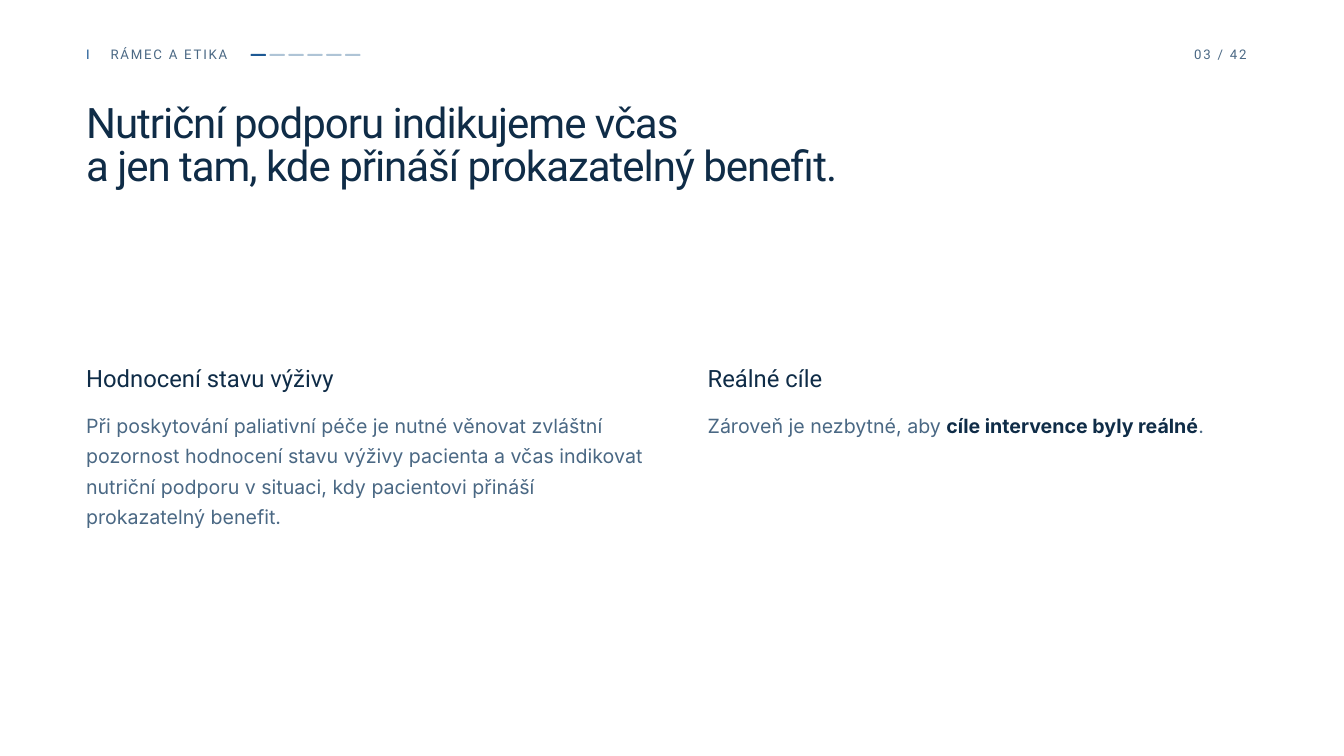
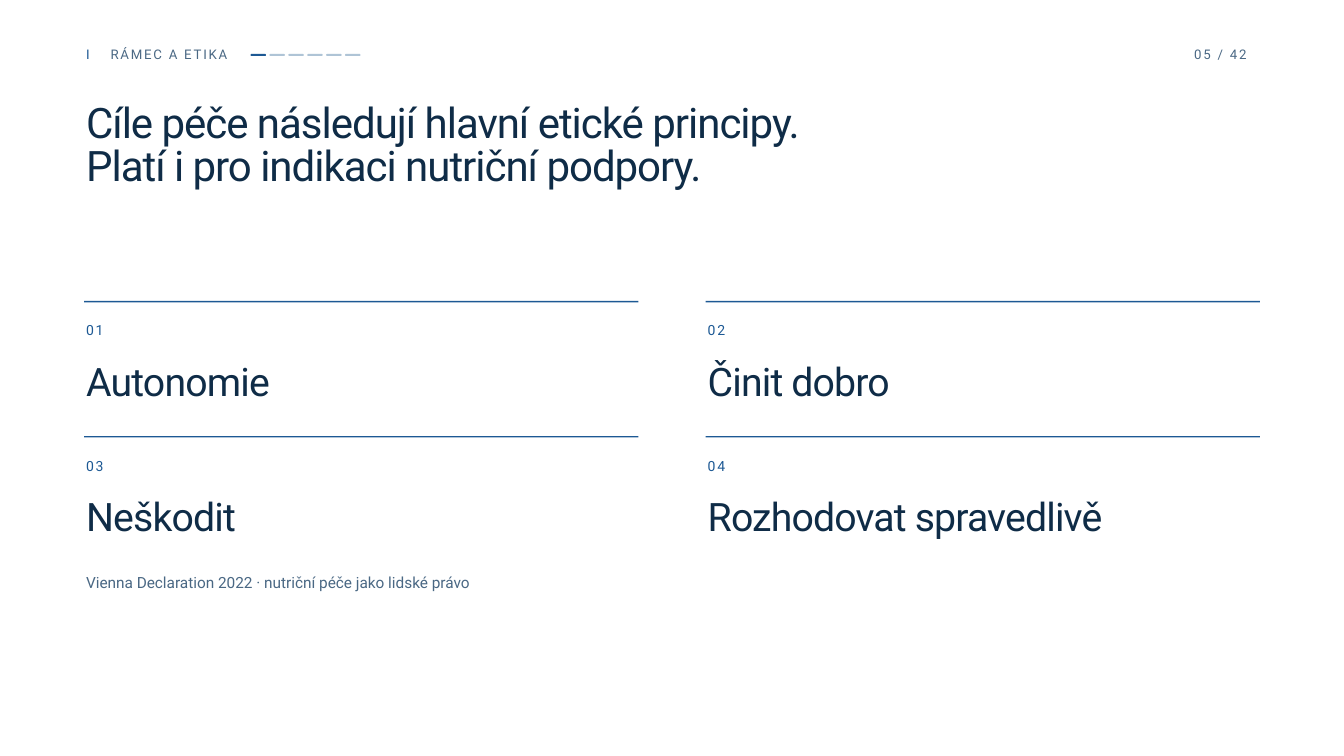
from dataclasses import dataclass

from pptx import Presentation
from pptx.dml.color import RGBColor
from pptx.enum.shapes import MSO_SHAPE
from pptx.enum.text import MSO_ANCHOR, MSO_AUTO_SIZE, PP_ALIGN
from pptx.util import Emu, Pt

RECTANGLE, ROUNDED = MSO_SHAPE.RECTANGLE, MSO_SHAPE.ROUNDED_RECTANGLE
TOP, LEFT = MSO_ANCHOR.TOP, PP_ALIGN.LEFT
GROW = MSO_AUTO_SIZE.SHAPE_TO_FIT_TEXT

# Content
SECTION = ("I", "RÁMEC A ETIKA")
SECTION_INDEX, SECTION_COUNT = 0, 6
PAGE_COUNT = 42

INDICATION = {
    "page": 3,
    "title": ["Nutriční podporu indikujeme včas",
              "a jen tam, kde přináší prokazatelný benefit."],
    # Each body is a list of (text, emphasised) parts
    "columns": [
        ("Hodnocení stavu výživy",
         [("Při poskytování paliativní péče je nutné věnovat zvláštní pozornost "
           "hodnocení stavu výživy pacienta a včas indikovat nutriční podporu "
           "v situaci, kdy pacientovi přináší prokazatelný benefit.", False)]),
        ("Reálné cíle",
         [("Zároveň je nezbytné, aby ", False),
          ("cíle intervence byly reálné", True),
          (".", False)]),
    ],
}
ETHICS = {
    "page": 5,
    "title": ["Cíle péče následují hlavní etické principy.",
              "Platí i pro indikaci nutriční podpory."],
    "principles": ["Autonomie", "Činit dobro", "Neškodit",
                   "Rozhodovat spravedlivě"],
    "source": "Vienna Declaration 2022 · nutriční péče jako lidské právo",
}


# Theme
@dataclass(frozen=True)
class Style:
    size: float
    leading: float
    color: str
    font: str = "Roboto"
    spacing: float = 0


class Theme:
    paper, ink, muted = "FFFFFF", "0F2C47", "4A6884"
    accent, pale = "1D5994", "AFC4D6"
    numeral = Style(14.2, 21.5, accent, spacing=1.9)
    label = Style(14.2, 21.5, muted, spacing=1.9)
    title = Style(45, 46.1, ink, spacing=-1.1)
    heading = Style(25.5, 28.8, ink)
    body = Style(21, 32.4, muted, font="Inter")
    number = Style(15, 22.4, accent, spacing=1.9)
    principle = Style(42, 41, ink, spacing=-0.9)
    source = Style(16.5, 22.9, muted)


# Layout in px
SCALE = 9525
SLIDE_W, SLIDE_H = 1920, 1080
MARGIN, TEXT_X = 120, 123
COLUMN_W, COLUMN_PITCH = 792, 888
BODY_W, HEADING_W = 810, 866
HEADER_Y, HEADER_H = 60, 36
BAR_X, BAR_Y, BAR_W, BAR_H, BAR_PITCH = 358, 77, 22, 3, 27
ROW_Y, ROW_PITCH = 430, 193


def px(*lengths):
    return [Emu(length * SCALE) for length in lengths]


def write(shape, paragraphs, style):
    """Fill a shape with paragraphs, each a list of (text, emphasised) parts."""
    frame = shape.text_frame
    frame.margin_left = frame.margin_top = 0
    frame.margin_right = frame.margin_bottom = 0
    frame.word_wrap = True
    frame.auto_size = GROW
    frame.vertical_anchor = TOP
    for index, parts in enumerate(paragraphs):
        paragraph = frame.add_paragraph() if index else frame.paragraphs[0]
        paragraph.alignment = LEFT
        paragraph.line_spacing = Pt(style.leading)
        paragraph.space_before = Pt(0)
        for text, emphasised in parts:
            run = paragraph.add_run()
            run.text = text
            run.font.name = style.font
            run.font.size = Pt(style.size)
            run.font.bold = emphasised
            color = Theme.ink if emphasised else style.color
            run.font.color.rgb = RGBColor.from_string(color)
            if style.spacing:
                run._r.get_or_add_rPr().set("spc", str(round(style.spacing * 100)))


def add_text(slide, box, parts, style):
    if isinstance(parts, str):
        parts = [(parts, False)]
    write(slide.shapes.add_textbox(*px(*box)), [parts], style)


def add_bar(slide, preset, box, color):
    bar = slide.shapes.add_shape(preset, *px(*box))
    bar.shadow.inherit = False
    bar.fill.solid()
    bar.fill.fore_color.rgb = RGBColor.from_string(color)
    bar.line.fill.background()
    return bar


def add_slide(deck, content):
    """Start a slide with the shared title, section header and page number."""
    slide = deck.slides.add_slide(deck.slide_layouts[5])
    slide.background.fill.solid()
    slide.background.fill.fore_color.rgb = RGBColor.from_string(Theme.paper)

    title = slide.shapes.title
    title.left, title.top, title.width, title.height = px(TEXT_X, 148, 1601, 128)
    write(title, [[(line, False)] for line in content["title"]], Theme.title)

    numeral, name = SECTION
    add_text(slide, (TEXT_X, HEADER_Y, 16, HEADER_H), numeral, Theme.numeral)
    add_text(slide, (158, HEADER_Y, 183, HEADER_H), name, Theme.label)
    for index in range(SECTION_COUNT):
        color = Theme.accent if index == SECTION_INDEX else Theme.pale
        box = (BAR_X + index * BAR_PITCH, BAR_Y, BAR_W, BAR_H)
        add_bar(slide, ROUNDED, box, color).adjustments[0] = 0.5
    page = f"{content['page']:02d} / {PAGE_COUNT}"
    add_text(slide, (1706, HEADER_Y, 100, HEADER_H), page, Theme.label)
    return slide


def build_indication(deck):
    slide = add_slide(deck, INDICATION)
    for index, (heading, body) in enumerate(INDICATION["columns"]):
        x = TEXT_X + index * COLUMN_PITCH
        add_text(slide, (x, 522, HEADING_W, 39), heading, Theme.heading)
        add_text(slide, (x, 582, BODY_W, 49), body, Theme.body)


def build_ethics(deck):
    slide = add_slide(deck, ETHICS)
    for index, principle in enumerate(ETHICS["principles"]):
        row, column = divmod(index, 2)
        shift, y = column * COLUMN_PITCH, ROW_Y + row * ROW_PITCH
        x = TEXT_X + shift
        add_bar(slide, RECTANGLE, (MARGIN + shift, y, COLUMN_W, 2), Theme.accent)
        add_text(slide, (x, y + 24, BODY_W, 37), f"{index + 1:02d}", Theme.number)
        add_text(slide, (x, y + 93, HEADING_W, 50), principle, Theme.principle)
    add_text(slide, (TEXT_X, 815, 1680, 36), ETHICS["source"], Theme.source)


def main():
    deck = Presentation()
    deck.slide_width, deck.slide_height = px(SLIDE_W, SLIDE_H)
    build_indication(deck)
    build_ethics(deck)
    deck.save("out.pptx")


if __name__ == "__main__":
    main()
